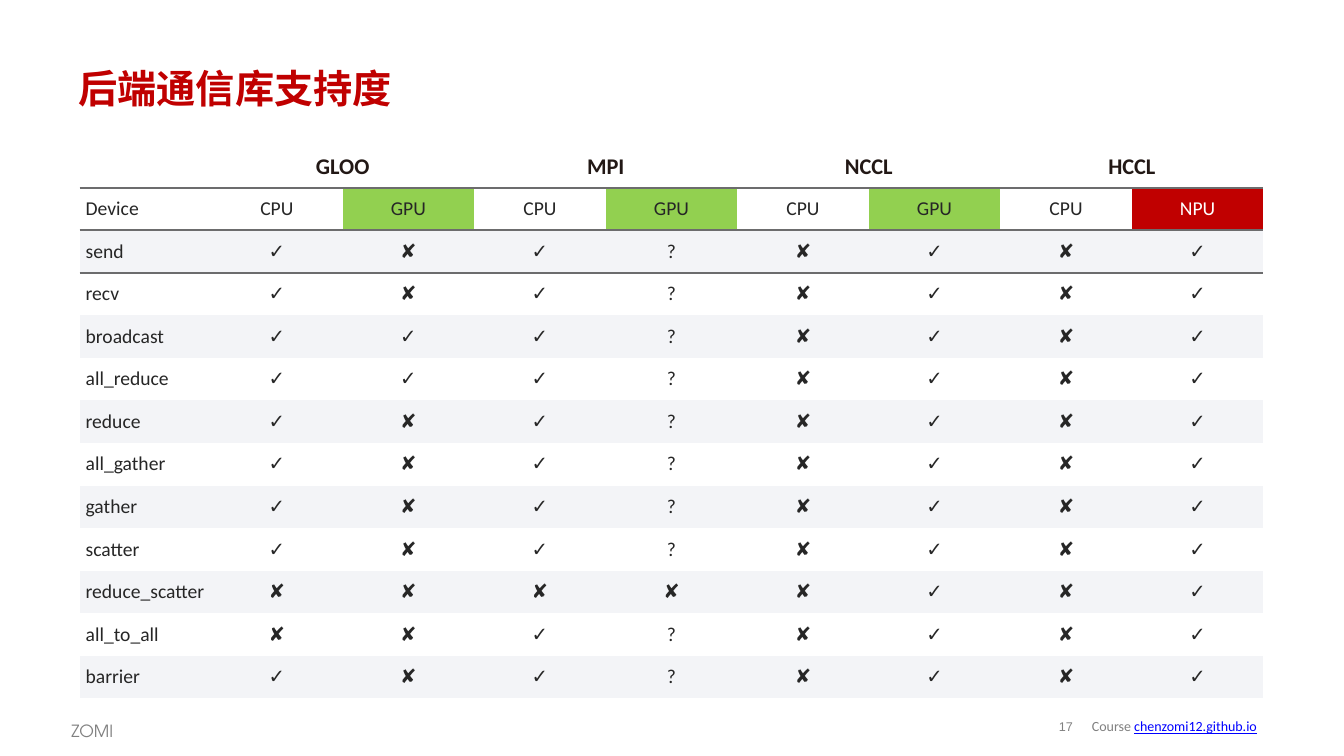
from dataclasses import dataclass

from lxml import etree
from pptx import Presentation
from pptx import util as u
from pptx.dml.color import RGBColor
from pptx.enum import text as t
from pptx.oxml import ns

MID, TOP = t.MSO_ANCHOR.MIDDLE, t.MSO_ANCHOR.TOP
LEFT, MID_X = t.PP_ALIGN.LEFT, t.PP_ALIGN.CENTER


@dataclass(frozen=True)
class Theme:
    body: str = "Calibri"
    head: str = "TeX Gyre Adventor"
    num: str = "Arial"
    red: str = "C00000"
    green: str = "92D050"
    white: str = "FFFFFF"
    band: str = "F3F4F7"
    rule: str = "6C6C6D"
    ink: str = "262626"
    dark: str = "221815"
    gray: str = "808080"
    link: str = "0000FF"
    title_size: float = 28
    head_size: float = 16
    cell_size: float = 14
    mark_size: float = 12
    foot_size: float = 10
    page_size: float = 9


LIBS = ["GLOO", "MPI", "NCCL", "HCCL"]
UNITS = ["CPU", "GPU"] * 3 + ["CPU", "NPU"]
MARKS = {"y": "✓", "n": "✘", "?": "?"}
# One letter per device column: y = supported, n = not supported
SUPPORT = {
    "send": "yny?nyny",
    "recv": "yny?nyny",
    "broadcast": "yyy?nyny",
    "all_reduce": "yyy?nyny",
    "reduce": "yny?nyny",
    "all_gather": "yny?nyny",
    "gather": "yny?nyny",
    "scatter": "yny?nyny",
    "reduce_scatter": "nnnnnyny",
    "all_to_all": "nny?nyny",
    "barrier": "yny?nyny",
}


def write(frame, text, font, size, color, bold=False, line=False, align=LEFT, space=None):
    """Add one run to the first paragraph of a text frame."""
    para = frame.paragraphs[0]
    para.alignment = align
    if space:
        para.line_spacing = space
    run = para.add_run()
    run.text = text
    run.font.name, run.font.size = font, u.Pt(size)
    run.font.bold, run.font.underline = bold, line
    run.font.color.rgb = RGBColor.from_string(color)


def edge(cell, side, color, width=1.5):
    """Draw one border; call for the bottom (B) before the top (T)."""
    line = etree.Element(ns.qn(f"a:ln{side}"), w=str(u.Pt(width)))
    fill = etree.SubElement(line, ns.qn("a:solidFill"))
    etree.SubElement(fill, ns.qn("a:srgbClr"), val=color)
    cell._tc.get_or_add_tcPr().insert(0, line)


class Deck:
    def __init__(self, theme):
        self.theme = theme
        self.prs = Presentation()
        self.prs.slide_width, self.prs.slide_height = u.Inches(13.34), u.Inches(7.5)
        self.slide = self.prs.slides.add_slide(self.prs.slide_layouts[5])

    def title(self, text, *box):
        th, shape = self.theme, self.slide.shapes.title
        shape.left, shape.top, shape.width, shape.height = map(u.Inches, box)
        shape.text_frame.vertical_anchor = MID
        write(shape.text_frame, text, th.head, th.title_size, th.red, bold=True)

    def label(self, *box, anchor=MID, inset=0.1):
        """Add an empty text box and return its frame."""
        frame = self.slide.shapes.add_textbox(*map(u.Inches, box)).text_frame
        frame.word_wrap, frame.vertical_anchor = True, anchor
        frame.margin_left = frame.margin_right = u.Inches(inset)
        frame.margin_top = frame.margin_bottom = u.Inches(inset / 2)
        return frame

    def cell(self, cell, text, fill=None, **fmt):
        th = self.theme
        cell.vertical_anchor = MID
        cell.margin_left = cell.margin_right = u.Inches(0.06)
        cell.margin_top = cell.margin_bottom = u.Inches(0.03)
        if fill:
            cell.fill.solid()
            cell.fill.fore_color.rgb = RGBColor.from_string(fill)
        else:
            cell.fill.background()
        if text:
            style = dict(font=th.body, size=th.cell_size, color=th.ink)
            write(cell.text_frame, text, **(style | fmt))

    def grid(self, *box):
        th = self.theme
        rows, cols = len(SUPPORT) + 2, len(UNITS) + 1
        frame = self.slide.shapes.add_table(rows, cols, *map(u.Inches, box))
        table = frame.table
        table.first_row = table.horz_banding = False
        style = table._tbl.tblPr.find(ns.qn("a:tableStyleId"))
        style.text = "{2D5ABB26-0587-4C30-8999-92F81FD0307C}"  # no style, no grid
        for col in table.columns:
            col.width = u.Inches(box[2] / cols)
        for row in table.rows:
            row.height = u.Inches(box[3] / rows)

        self.cell(table.cell(0, 0), "")
        for i, lib in enumerate(LIBS):
            first = table.cell(0, 2 * i + 1)
            first.merge(table.cell(0, 2 * i + 2))
            self.cell(first, lib, size=th.head_size, color=th.dark, bold=True, align=MID_X)

        fills = {"GPU": th.green, "NPU": th.red}
        for c, unit in enumerate(["Device"] + UNITS):
            self.cell(table.cell(1, c), unit, fills.get(unit, th.white),
                      color=th.white if unit == "NPU" else th.ink,
                      align=MID_X if c else LEFT)

        for r, (name, marks) in enumerate(SUPPORT.items(), 2):
            fill = th.white if r % 2 else th.band
            self.cell(table.cell(r, 0), name, fill)
            for c, mark in enumerate(marks, 1):
                self.cell(table.cell(r, c), MARKS[mark], fill, align=MID_X)

        for r, sides in enumerate(["B", "BT", "T"]):
            for c in range(cols):
                for side in sides:
                    edge(table.cell(r, c), side, th.rule)

    def footer(self):
        th = self.theme
        write(self.label(10.4, 7.06, 0.36, 0.31, inset=0), "17",
              th.num, th.page_size, th.gray, align=MID_X, space=0.85)
        write(self.label(0.61, 7.06, 0.8, 0.32, anchor=TOP), "ZOMI",
              th.head, th.mark_size, th.gray, space=1.2)
        course = self.label(10.74, 7.06, 2.46, 0.29)
        write(course, "Course ", th.body, th.foot_size, th.gray)
        write(course, "chenzomi12.github.io", th.body, th.foot_size, th.link, line=True)


def main():
    deck = Deck(Theme())
    deck.footer()
    deck.title("后端通信库支持度", 0.68, 0.55, 11.99, 0.64)
    deck.grid(0.79, 1.44, 11.75, 5.49)
    deck.prs.save("out.pptx")


if __name__ == "__main__":
    main()
